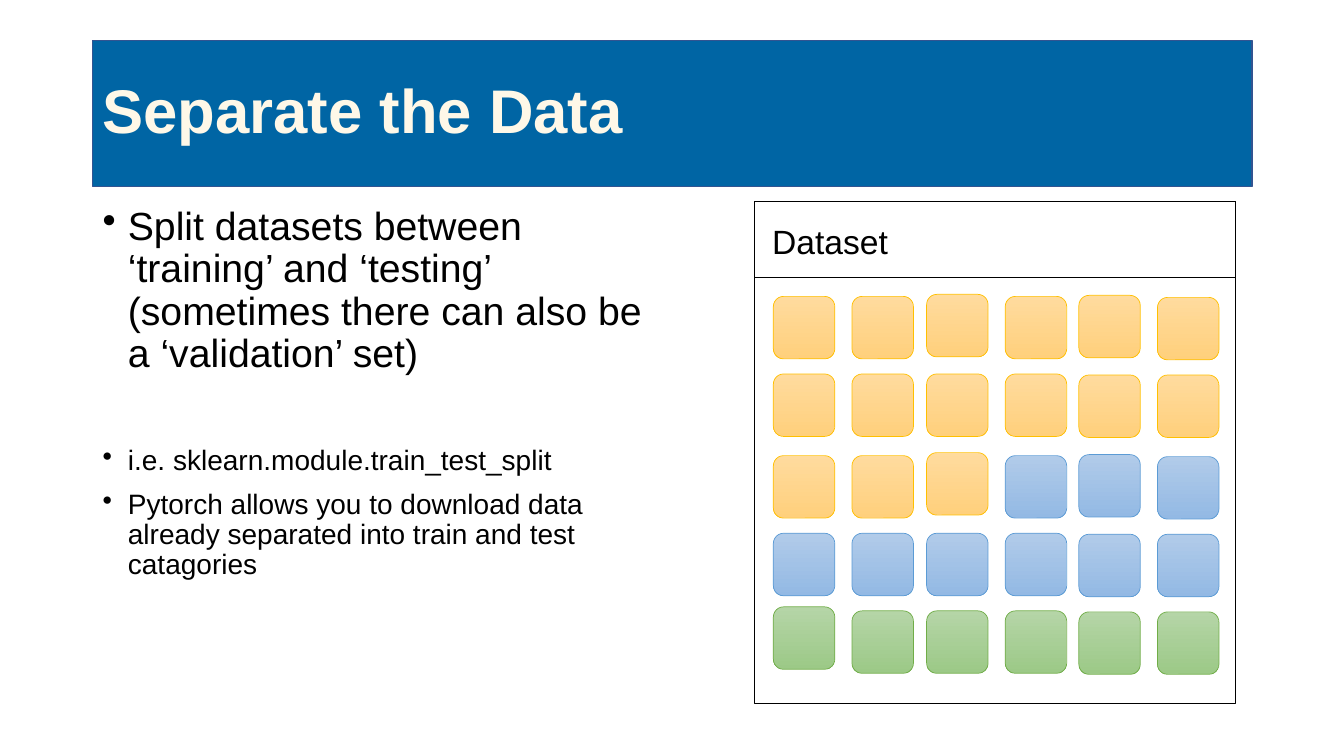
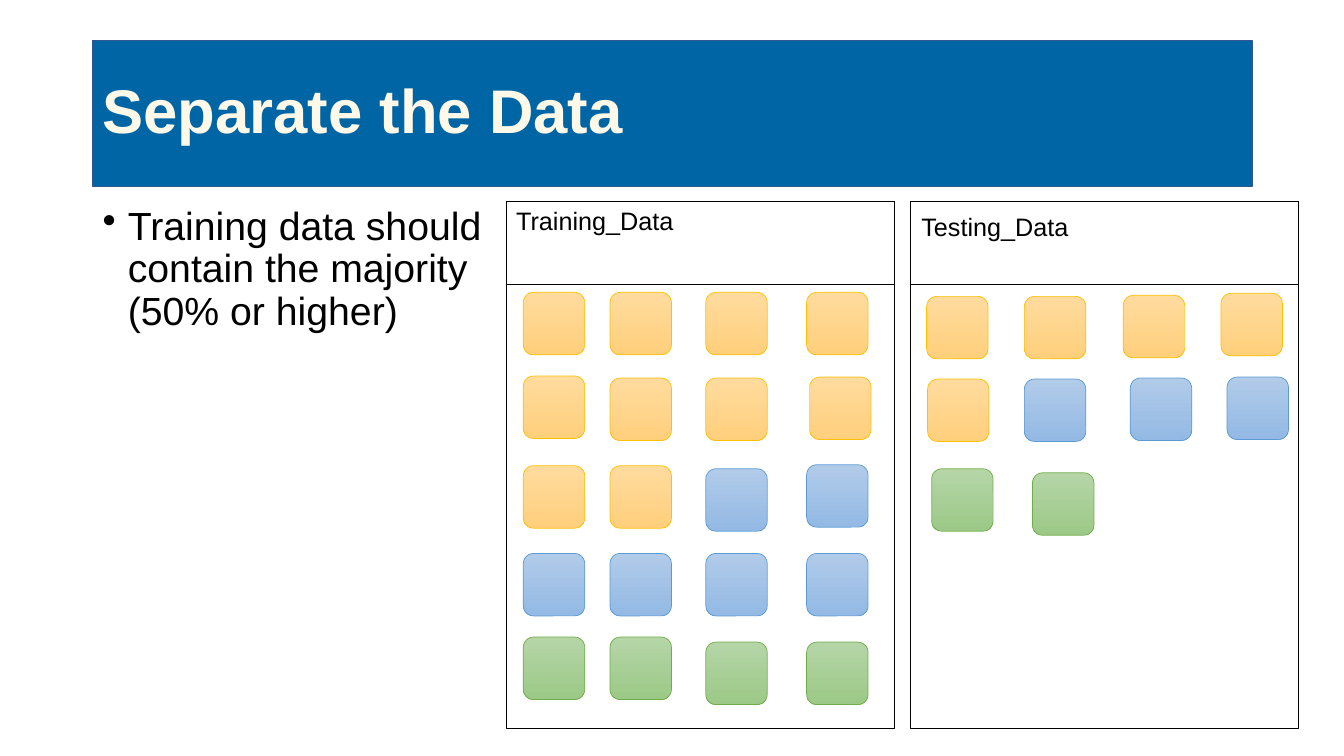
"""Build two slides on separating a dataset into training and testing parts."""
from pptx import Presentation
from pptx import util as u
from pptx.dml.color import RGBColor
from pptx.enum import shapes, text
from pptx.oxml.ns import qn

PX = 9144
FONT = "Arial"
TILE = (61, 62)
BAND = (92, 40, 1150, 145)
HEX = {"band": "0065A4", "edge": "325491", "title": "FEF8E8", "ink": "000000"}
KINDS = {
    "Y": ("FFDB9E", "FFD07C", "FFC000"),
    "B": ("B1CBE9", "93B9E4", "5B9BD5"),
    "G": ("B5D5A7", "9CC987", "70AD47"),
}
SIX = (767, 845, 919, 997, 1070, 1148)
FOUR = (519, 605, 700, 800)

SLIDES = [
    {
        "title": "Separate the Data",
        "body": (92, 200, 585, 476),
        "points": [
            ("Split datasets between ‘training’ and ‘testing’ "
             "(sometimes there can also be a ‘validation’ set)", 28, 10),
            ("i.e. sklearn.module.train_test_split", 20, 50),
            ("Pytorch allows you to download data already separated "
             "into train and test catagories", 20, 10),
        ],
        "panels": [
            {
                "box": (748, 200, 477, 498), "head": 75,
                "label": "Dataset", "at": (756, 214, 213, 50), "size": 24,
                "rows": [
                    ("YYYYYY", SIX, (294, 294, 292, 294, 293, 295)),
                    ("YYYYYY", SIX, (371, 371, 371, 371, 372, 372)),
                    ("YYYBBB", SIX, (452, 452, 449, 452, 451, 453)),
                    ("BBBBBB", SIX, (529, 529, 529, 529, 530, 530)),
                    ("GGGGGG", SIX, (602, 606, 606, 606, 607, 607)),
                ],
            },
        ],
    },
    {
        "title": "Separate the Data",
        "body": (92, 200, 401, 476),
        "points": [
            ("Training data should contain the majority (50% or higher)",
             28, 10),
        ],
        "panels": [
            {
                "box": (502, 200, 385, 523), "head": 82,
                "label": "Training_Data", "at": (502, 199, 198, 40),
                "size": 18,
                "rows": [
                    ("YYYY", FOUR, (290, 290, 290, 290)),
                    ("YYYY", (519, 605, 700, 803), (373, 375, 375, 374)),
                    ("YYBB", FOUR, (462, 462, 465, 461)),
                    ("BBBB", FOUR, (549, 549, 549, 549)),
                    ("GGGG", FOUR, (632, 632, 637, 637)),
                ],
            },
            {
                "box": (903, 200, 385, 523), "head": 82,
                "label": "Testing_Data", "at": (904, 205, 198, 40),
                "size": 18,
                "rows": [
                    ("YYYY", (919, 1016, 1114, 1211), (294, 294, 293, 291)),
                    ("YBBB", (920, 1016, 1121, 1217), (376, 376, 375, 374)),
                    ("GG", (924, 1024), (465, 469)),
                ],
            },
        ],
    },
]


def rgb(code):
    """Turn a hex string into a colour."""
    return RGBColor.from_string(code)


def emu(box):
    """Scale px lengths to EMU."""
    return [n * PX for n in box]


def shape(slide, box, line, width, kind=shapes.MSO_SHAPE.RECTANGLE):
    """Add an unfilled outlined shape."""
    item = slide.shapes.add_shape(kind, *emu(box))
    item.shadow.inherit = False
    item.fill.background()
    item.line.color.rgb = rgb(line)
    item.line.width = u.Pt(width)
    return item


def style(para, words, size, color=HEX["ink"], bold=False):
    """Fill a paragraph and set its font."""
    para.text = words
    para.alignment = text.PP_ALIGN.LEFT
    font = para.font
    font.name, font.size, font.bold = FONT, u.Pt(size), bold
    font.color.rgb = rgb(color)


def frame(slide, box):
    """Add a wrapping text box and return its frame."""
    area = slide.shapes.add_textbox(*emu(box)).text_frame
    area.word_wrap = True
    return area


def title(slide, words):
    """Draw the title band with its text."""
    band = shape(slide, BAND, HEX["edge"], 1)
    band.fill.solid()
    band.fill.fore_color.rgb = rgb(HEX["band"])
    area = band.text_frame
    area.vertical_anchor = text.MSO_ANCHOR.MIDDLE
    style(area.paragraphs[0], words, 44, HEX["title"], True)
    area.paragraphs[0].line_spacing = 0.9


def bullets(slide, box, points):
    """Write the bulleted body text."""
    area = frame(slide, box)
    for i, (words, size, gap) in enumerate(points):
        para = area.add_paragraph() if i else area.paragraphs[0]
        style(para, words, size)
        para.line_spacing = 0.9
        para.space_before = u.Pt(gap)
        props = para._p.get_or_add_pPr()
        props.set("marL", str(25 * PX))
        props.set("indent", str(-25 * PX))
        mark = props.makeelement(qn("a:buChar"), {"char": "•"})
        props.insert_element_before(
            mark, "a:tabLst", "a:defRPr", "a:extLst")


def tile(slide, left, top, kind):
    """Draw one data sample."""
    light, dark, edge = KINDS[kind]
    item = shape(slide, (left, top, *TILE), edge, 0.5,
                 shapes.MSO_SHAPE.ROUNDED_RECTANGLE)
    item.fill.gradient()
    item.fill.gradient_angle = 270
    for stop, code, pos in zip(item.fill.gradient_stops, (light, dark), (0, 1)):
        stop.color.rgb = rgb(code)
        stop.position = pos


def panel(slide, data):
    """Draw a framed set of samples with its heading."""
    left, top, width, height = data["box"]
    for tall in (height, data["head"]):
        shape(slide, (left, top, width, tall), HEX["ink"], 0.75)
    for kinds, lefts, tops in data["rows"]:
        for kind, x, y in zip(kinds, lefts, tops):
            tile(slide, x, y, kind)
    area = frame(slide, data["at"])
    style(area.paragraphs[0], data["label"], data["size"])


def main():
    """Build and save the slides."""
    deck = Presentation()
    deck.slide_width, deck.slide_height = emu((1333, 750))
    for data in SLIDES:
        slide = deck.slides.add_slide(deck.slide_layouts[6])
        title(slide, data["title"])
        bullets(slide, data["body"], data["points"])
        for part in data["panels"]:
            panel(slide, part)
    deck.save("out.pptx")


if __name__ == "__main__":
    main()
